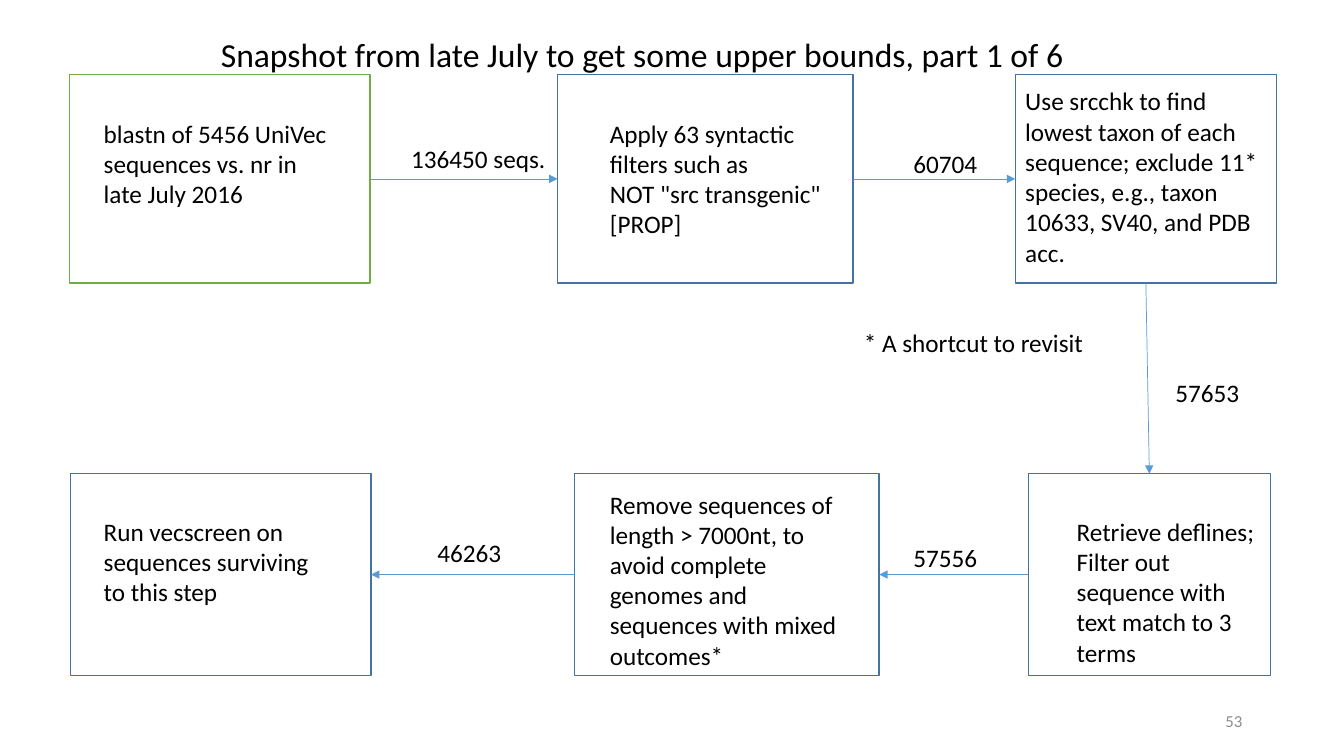
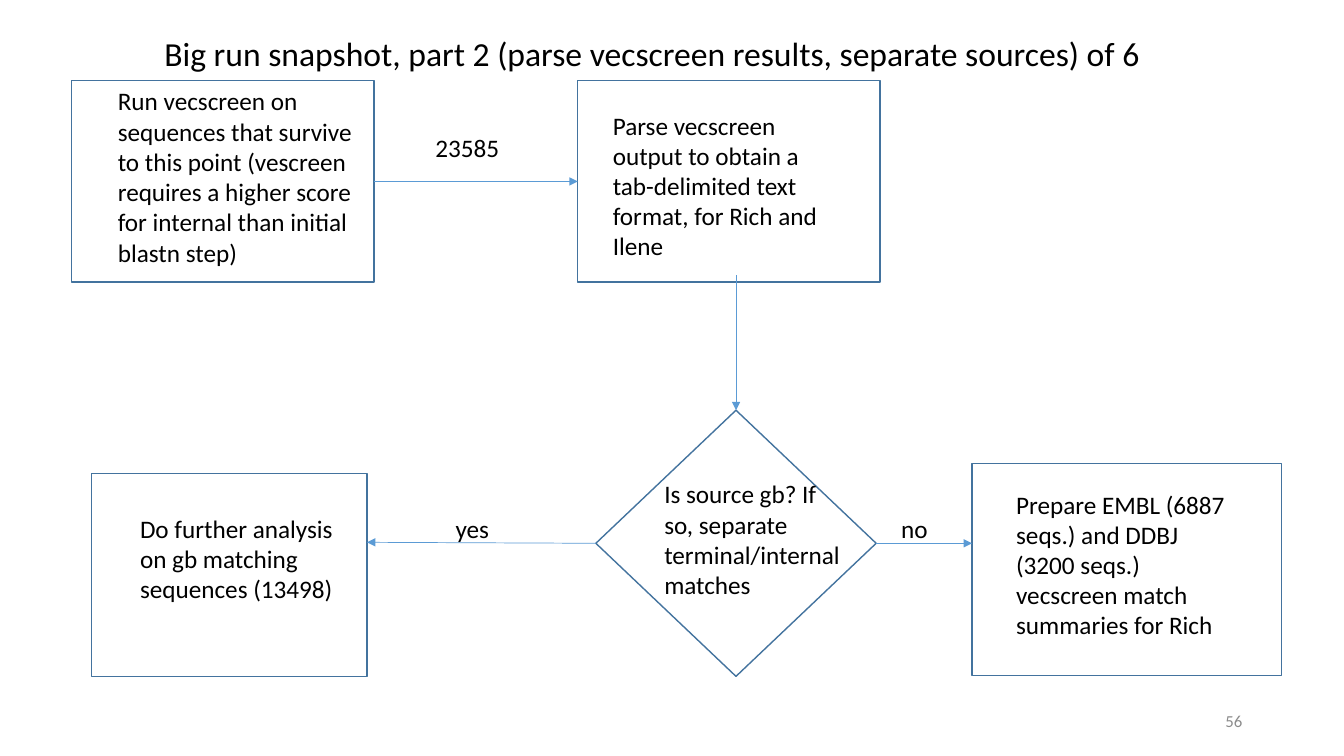
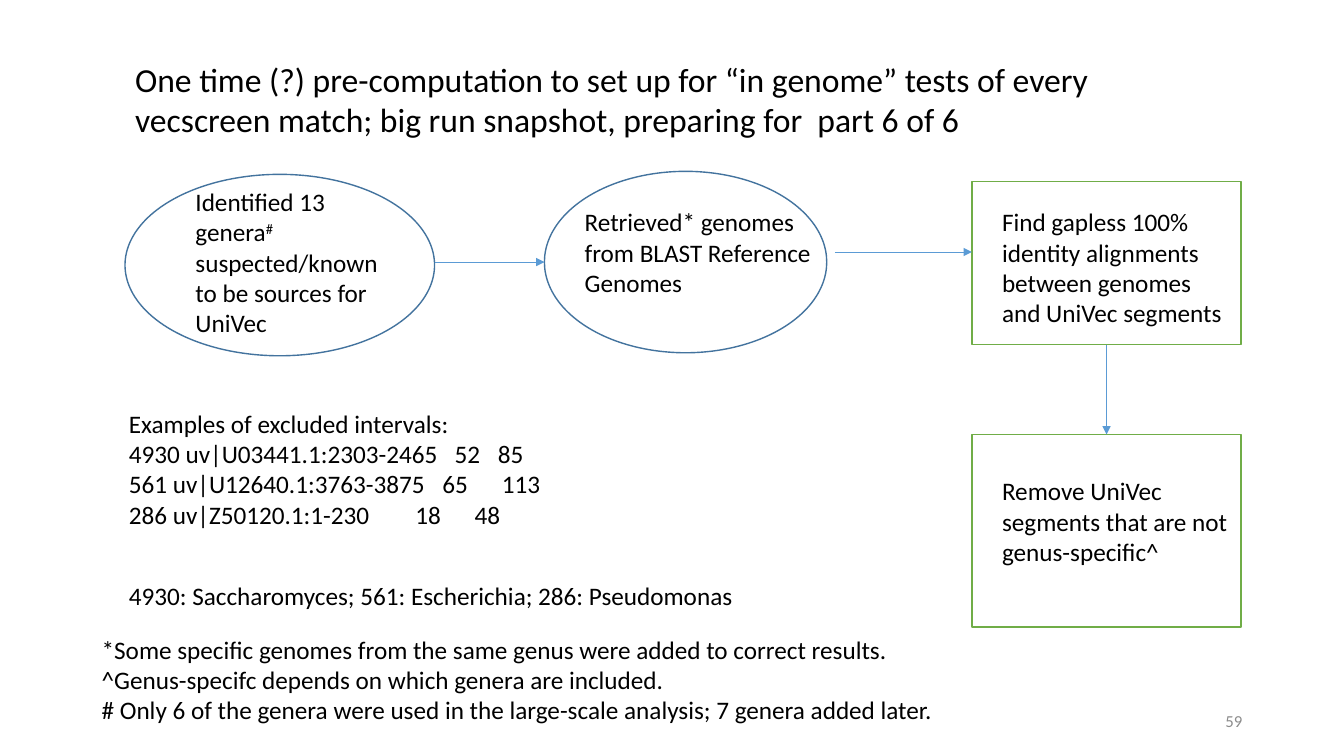
from typing import NamedTuple

from lxml import etree
from pptx import Presentation
from pptx.dml.color import RGBColor
from pptx.enum.shapes import MSO_CONNECTOR, MSO_SHAPE
from pptx.enum.text import MSO_ANCHOR, MSO_AUTO_SIZE, PP_ALIGN
from pptx.oxml.ns import qn
from pptx.util import Inches, Pt

RECT, ELLIPSE, DIAMOND = MSO_SHAPE.RECTANGLE, MSO_SHAPE.OVAL, MSO_SHAPE.DIAMOND
STRAIGHT = MSO_CONNECTOR.STRAIGHT
LEFT, RIGHT = PP_ALIGN.LEFT, PP_ALIGN.RIGHT
TOP, MIDDLE = MSO_ANCHOR.TOP, MSO_ANCHOR.MIDDLE
NO_AUTOFIT = MSO_AUTO_SIZE.NONE

BLACK = RGBColor(0x00, 0x00, 0x00)
WHITE = RGBColor(0xFF, 0xFF, 0xFF)
GREY = RGBColor(0x8C, 0x8C, 0x8C)
BLUE = RGBColor(0x43, 0x73, 0x9E)
GREEN = RGBColor(0x70, 0xAD, 0x47)
ARROW_BLUE = RGBColor(0x5B, 0x9B, 0xD5)

TITLE_FONT = {"name": "Calibri", "size": Pt(24), "bold": False}
BODY_FONT = {"name": "Calibri", "size": Pt(18)}
PAGE_FONT = {"name": "Calibri", "size": Pt(12)}
FRAME = {
    "word_wrap": True,
    "auto_size": NO_AUTOFIT,
    "margin_left": Inches(0.1),
    "margin_right": Inches(0.1),
    "margin_top": Inches(0.05),
    "margin_bottom": Inches(0.05),
}


class Box(NamedTuple):
    """A region in inches, with the points where arrows attach."""
    x: float
    y: float
    w: float
    h: float

    @property
    def top(self):
        return self.x + self.w / 2, self.y

    @property
    def bottom(self):
        return self.x + self.w / 2, self.y + self.h

    @property
    def left(self):
        return self.x, self.y + self.h / 2

    @property
    def right(self):
        return self.x + self.w, self.y + self.h / 2

    def inner(self, dx, dy, w, h):
        return Box(self.x + dx, self.y + dy, w, h)

    def emu(self):
        return [Inches(length) for length in self]


PAGE_BOX = Box(9.42, 6.95, 3, 0.4)


def apply(target, values):
    for name, value in values.items():
        setattr(target, name, value)


def write(frame, paragraphs, font=BODY_FONT, color=BLACK, align=LEFT, anchor=TOP):
    """Fill a frame; a tuple paragraph alternates normal and superscript runs."""
    apply(frame, FRAME)
    frame.vertical_anchor = anchor
    for number, content in enumerate(paragraphs):
        paragraph = frame.add_paragraph() if number else frame.paragraphs[0]
        paragraph.alignment = align
        pieces = content if isinstance(content, tuple) else (content,)
        for index, piece in enumerate(pieces):
            run = paragraph.add_run()
            run.text = piece
            apply(run.font, font)
            run.font.color.rgb = color
            if index % 2:
                run.font._element.set("baseline", "30000")


def label(slide, box, *paragraphs, **style):
    frame = slide.shapes.add_textbox(*box.emu()).text_frame
    write(frame, paragraphs, **style)
    return frame


def node(slide, box, text_area, *paragraphs, kind=RECT, outline=BLUE):
    """Outlined step with its text at an offset inside the step's box."""
    step = slide.shapes.add_shape(kind, *box.emu())
    step.shadow.inherit = False
    step.fill.solid()
    step.fill.fore_color.rgb = WHITE
    step.line.color.rgb = outline
    step.line.width = Pt(1)
    label(slide, box.inner(*text_area), *paragraphs)


def arrow(slide, start, end):
    ends = [Inches(length) for length in (*start, *end)]
    connector = slide.shapes.add_connector(STRAIGHT, *ends)
    connector.line.color.rgb = ARROW_BLUE
    connector.line.width = Pt(0.5)
    etree.SubElement(connector.line._get_or_add_ln(), qn("a:tailEnd"), type="triangle")
    etree.SubElement(connector._element.spPr, qn("a:effectLst"))


def set_tabs(paragraph, stops):
    tab_list = etree.SubElement(paragraph._p.get_or_add_pPr(), qn("a:tabLst"))
    for stop in stops:
        etree.SubElement(tab_list, qn("a:tab"), pos=str(Inches(stop)), algn="l")


def titled_slide(prs, title, title_box, page):
    slide = prs.slides.add_slide(prs.slide_layouts[5])
    heading = slide.shapes.title
    apply(heading, dict(zip(("left", "top", "width", "height"), title_box.emu())))
    write(heading.text_frame, [title], font=TITLE_FONT)
    label(slide, PAGE_BOX, page, font=PAGE_FONT, color=GREY, align=RIGHT, anchor=MIDDLE)
    return slide


def upper_bounds_slide(prs):
    slide = titled_slide(prs, "Snapshot from late July to get some upper bounds, part 1 of 6",
                         Box(2.09, 0.29, 9.47, 0.5), "53")
    # Upper row runs right, lower row runs back left
    upper, lower = {"y": 0.74, "h": 2.07}, {"y": 4.7, "h": 2}
    blastn = Box(x=0.69, w=2.98, **upper)
    filters = Box(x=5.53, w=2.93, **upper)
    srcchk = Box(x=10.07, w=2.59, **upper)
    deflines = Box(x=10.2, w=2.4, **lower)
    length_limit = Box(x=5.7, w=3.02, **lower)
    vecscreen = Box(x=0.7, w=2.98, **lower)

    node(slide, blastn, (0.24, 0.38, 2.43, 1.01),
         "blastn of 5456 UniVec sequences vs. nr in late July 2016", outline=GREEN)
    node(slide, filters, (0.42, 0.38, 2.52, 1.31),
         "Apply 63 syntactic filters such as", 'NOT "src transgenic" [PROP]')
    node(slide, srcchk, (0, 0.06, 2.52, 1.92),
         "Use srcchk to find lowest taxon of each sequence; exclude 11* species, "
         "e.g., taxon 10633, SV40, and PDB acc.")
    node(slide, deflines, (0.38, 0.37, 2.01, 1.62),
         "Retrieve deflines;", "Filter out sequence with text match to 3 terms")
    node(slide, length_limit, (0.25, 0.1, 2.52, 1.92),
         "Remove sequences of length > 7000nt, to avoid complete genomes and "
         "sequences with mixed outcomes*")
    node(slide, vecscreen, (0.23, 0.37, 2.43, 1.01),
         "Run vecscreen on sequences surviving to this step")

    for start, end in [
        (blastn.right, filters.left),
        (filters.right, srcchk.left),
        (srcchk.bottom, deflines.top),
        (deflines.left, length_limit.right),
        (length_limit.left, vecscreen.right),
    ]:
        arrow(slide, start, end)

    # Sequence counts beside the arrows, and the footnote
    for x, y, width, text in [
        (3.98, 1.37, 1.55, "136450 seqs."),
        (8.96, 1.42, 0.84, "60704"),
        (11.56, 3.69, 1.1, "57653"),
        (8.96, 5.33, 0.84, "57556"),
        (4.24, 5.28, 1.03, "46263"),
        (8.47, 3.2, 2.47, "* A shortcut to revisit"),
    ]:
        label(slide, Box(x, y, width, 0.4), text)


def separate_sources_slide(prs):
    slide = titled_slide(
        prs, "Big run snapshot, part 2 (parse vecscreen results, separate sources) of 6",
        Box(1.53, 0.28, 11.03, 0.5), "56")
    vecscreen = Box(0.71, 0.8, 3, 2)
    parsing = Box(5.73, 0.8, 3, 2)
    source_test = Box(5.91, 4.07, 2.78, 2.64)
    summaries = Box(9.64, 4.6, 3.07, 2.1)
    analysis = Box(0.91, 4.7, 2.73, 2.01)

    node(slide, vecscreen, (0.36, 0, 2.58, 1.92),
         "Run vecscreen on sequences that survive to this point (vescreen requires "
         "a higher score for internal than initial blastn step)")
    node(slide, parsing, (0.25, 0.24, 2.44, 1.62),
         "Parse vecscreen output to obtain a tab-delimited text format, for Rich and Ilene")
    node(slide, source_test, (0.58, 0.63, 2, 1.31),
         "Is source gb? If so, separate terminal/internal matches", kind=DIAMOND)
    node(slide, summaries, (0.34, 0.2, 2.36, 1.62),
         "Prepare EMBL (6887 seqs.) and DDBJ (3200 seqs.) vecscreen match summaries for Rich")
    node(slide, analysis, (0.38, 0.34, 2.18, 1.01),
         "Do further analysis on gb matching sequences (13498)")

    # Branches leave the decision level with its side corners
    branch_y = source_test.left[1]
    arrow(slide, vecscreen.right, parsing.left)
    arrow(slide, (source_test.top[0], 2.73), source_test.top)
    arrow(slide, source_test.right, (summaries.x, branch_y))
    arrow(slide, source_test.left, (analysis.right[0], branch_y - 0.01))

    for x, y, width, text in [
        (4.22, 1.26, 1.17, "23585"),
        (4.42, 5.04, 0.78, "yes"),
        (8.84, 5.04, 0.6, "no"),
    ]:
        label(slide, Box(x, y, width, 0.4), text)


def genome_tests_slide(prs):
    slide = titled_slide(
        prs, "One time (?) pre-computation to set up for “in genome” tests of every "
        "vecscreen match; big run snapshot, preparing for  part 6 of 6",
        Box(1.24, 0.53, 10.2, 0.91), "59")
    genera = Box(1.24, 1.73, 3.07, 1.8)
    genomes = Box(5.4, 1.7, 2.8, 1.8)
    alignments = Box(9.64, 1.8, 2.67, 1.62)
    removal = Box(9.64, 4.31, 2.67, 1.91)

    node(slide, genera, (0.6, 0.07, 2.22, 1.62),
         ("Identified 13 genera", "#", " suspected/known to be sources for UniVec"),
         kind=ELLIPSE)
    node(slide, genomes, (0.3, 0.3, 2.58, 1.01),
         "Retrieved* genomes from BLAST Reference Genomes", kind=ELLIPSE)
    node(slide, alignments, (0.2, 0.2, 2.47, 1.31),
         "Find gapless 100% identity alignments between genomes and UniVec segments",
         outline=GREEN)
    node(slide, removal, (0.2, 0.36, 2.47, 1.01),
         "Remove UniVec segments that are not genus-specific^", outline=GREEN)

    arrow(slide, (genera.right[0], genomes.left[1]), genomes.left)
    arrow(slide, (8.28, 2.5), (alignments.x, 2.5))
    arrow(slide, alignments.bottom, removal.top)

    # Excluded intervals, with start and end set by tab stops
    intervals = [
        ("4930 uv|U03441.1:2303-2465\t52\t85", (3.23, 3.66)),
        ("561 uv|U12640.1:3763-3875\t65\t113", (3.11, 3.7)),
        ("286 uv|Z50120.1:1-230\t18\t48", (2.84, 3.43)),
    ]
    examples = label(slide, Box(1.18, 4, 5.82, 1.62), "Examples of excluded intervals:",
                     *(text for text, _ in intervals))
    for paragraph, (_, stops) in zip(examples.paragraphs[1:], intervals):
        set_tabs(paragraph, stops)

    # Key to the taxon numbers, then footnotes
    label(slide, Box(1.18, 5.71, 7.1, 0.4),
          "4930: Saccharomyces; 561: Escherichia; 286: Pseudomonas")
    label(slide, Box(0.91, 6.24, 8.73, 1.01),
          "*Some specific genomes from the same genus were added to correct results.",
          "^Genus-specifc depends on which genera are included.",
          "# Only 6 of the genera were used in the large-scale analysis; 7 genera added later.")


def main():
    prs = Presentation()
    prs.slide_width, prs.slide_height = Inches(13.33), Inches(7.5)
    upper_bounds_slide(prs)
    separate_sources_slide(prs)
    genome_tests_slide(prs)
    prs.save("out.pptx")


if __name__ == "__main__":
    main()
